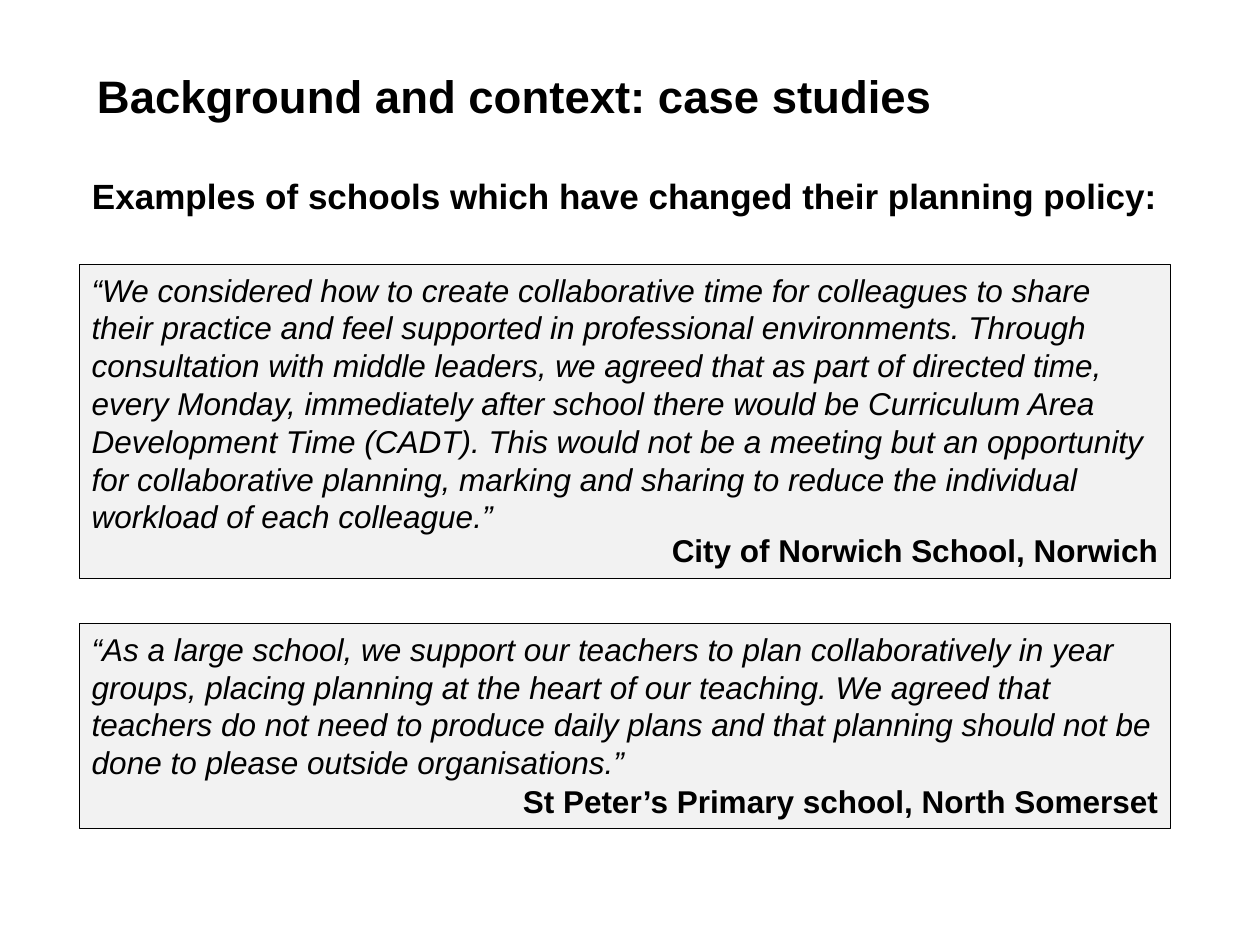
from pptx import Presentation
from pptx.dml.color import RGBColor
from pptx.enum.shapes import MSO_SHAPE
from pptx.enum.text import MSO_ANCHOR, PP_ALIGN
from pptx.util import Cm, Pt
from lxml import etree

RECT = MSO_SHAPE.RECTANGLE
TOP, MIDDLE = MSO_ANCHOR.TOP, MSO_ANCHOR.MIDDLE
LEFT, RIGHT = PP_ALIGN.LEFT, PP_ALIGN.RIGHT
A = "{http://schemas.openxmlformats.org/drawingml/2006/main}"


def color(value):
    return RGBColor.from_string(value)


def format_paragraph(p, size, bold=False, italic=False, align=LEFT, spacing=1.0, before=0):
    p.alignment = align
    p.line_spacing = spacing
    p.space_before = Pt(before)
    for r in p.runs:
        r.font.name = "Arial"
        r.font.size = Pt(size)
        r.font.bold = bold
        r.font.italic = italic
        r.font.color.rgb = color("000000")


prs = Presentation()
prs.slide_width, prs.slide_height = Cm(25.4), Cm(19.05)
s = prs.slides.add_slide(prs.slide_layouts[1])

title, body = s.shapes.title, s.placeholders[1]
headings = [
    (title, "Background and context: case studies", 26, 1.0, MIDDLE,
     (1.7, 0.53, 21.8, 2.8)),
    (body, "Examples of schools which have changed their planning policy:", 20, 0.8, TOP,
     (1.6, 3.56, 22.8, 1)),
]
for sp, text, size, spacing, anchor, box in headings:
    sp.left, sp.top, sp.width, sp.height = [Cm(v) for v in box]
    tf = sp.text_frame
    tf.text = text
    tf.vertical_anchor = anchor
    format_paragraph(tf.paragraphs[0], size, bold=True, spacing=spacing)

pPr = body.text_frame.paragraphs[0]._p.get_or_add_pPr()
pPr.set("marL", "0")
pPr.set("indent", "0")
etree.SubElement(pPr, A + "buNone")

case_studies = [
    (5.33, 6.33, 0.9, 0,
     "“We considered how to create collaborative time for colleagues to share their practice "
     "and feel supported in professional environments. Through consultation with middle "
     "leaders, we agreed that as part of directed time, every Monday, immediately after school "
     "there would be Curriculum Area Development Time (CADT). This would not be a meeting but "
     "an opportunity for collaborative planning, marking and sharing to reduce the individual "
     "workload of each colleague.”",
     "City of Norwich School, Norwich"),
    (12.57, 4.14, 0.8, 5,
     "“As a large school, we support our teachers to plan collaboratively in year groups, "
     "placing planning at the heart of our teaching. We agreed that teachers do not need to "
     "produce daily plans and that planning should not be done to please outside "
     "organisations.”",
     "St Peter’s Primary school, North Somerset"),
]
for top, height, spacing, before, quote, school in case_studies:
    sp = s.shapes.add_shape(RECT, Cm(1.6), Cm(top), Cm(22), Cm(height))
    sp.shadow.inherit = False
    sp.fill.solid()
    sp.fill.fore_color.rgb = color("F2F2F2")
    sp.line.color.rgb = color("000000")
    sp.line.width = Pt(0.75)
    tf = sp.text_frame
    tf.word_wrap = True
    tf.vertical_anchor = TOP
    tf.text = quote
    format_paragraph(tf.paragraphs[0], 18, italic=True)
    p = tf.add_paragraph()
    p.text = school
    format_paragraph(p, 18, bold=True, align=RIGHT, spacing=spacing, before=before)

prs.save("out.pptx")
